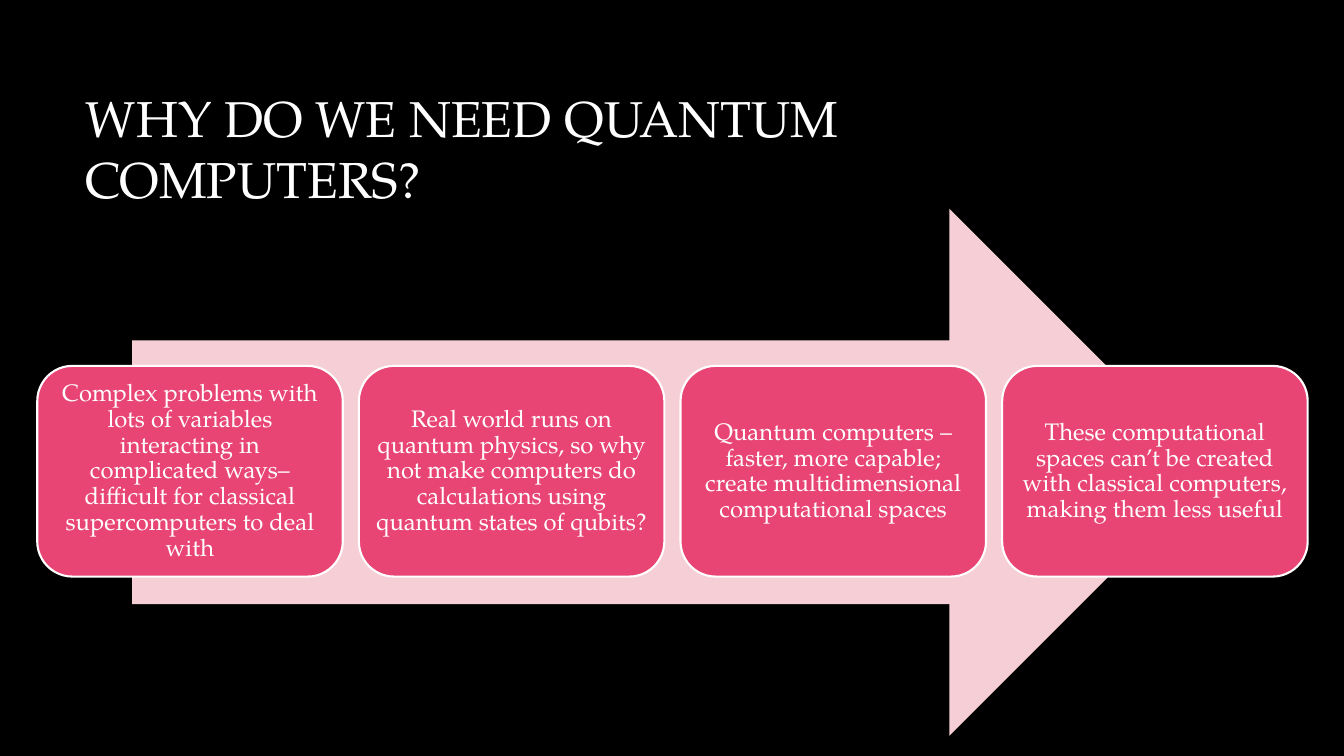
from dataclasses import dataclass

from pptx import Presentation
from pptx.dml.color import RGBColor
from pptx.enum.shapes import MSO_SHAPE
from pptx.enum.text import MSO_ANCHOR, MSO_AUTO_SIZE, PP_ALIGN
from pptx.util import Inches, Pt

RIGHT_ARROW = MSO_SHAPE.RIGHT_ARROW
ROUNDED_RECTANGLE = MSO_SHAPE.ROUNDED_RECTANGLE
MIDDLE = MSO_ANCHOR.MIDDLE
NO_AUTOFIT = MSO_AUTO_SIZE.NONE
LEFT, CENTER = PP_ALIGN.LEFT, PP_ALIGN.CENTER


@dataclass(frozen=True)
class Theme:
    font: str = "TeX Gyre Pagella"
    background: RGBColor = RGBColor(0x00, 0x00, 0x00)
    text: RGBColor = RGBColor(0xFF, 0xFF, 0xFF)
    arrow: RGBColor = RGBColor(0xF6, 0xCF, 0xD6)
    card: RGBColor = RGBColor(0xE8, 0x45, 0x74)
    title_size: Pt = Pt(36)
    card_size: Pt = Pt(17)


theme = Theme()


def write_text(frame, text, size, alignment):
    frame.word_wrap = True
    frame.auto_size = NO_AUTOFIT
    frame.vertical_anchor = MIDDLE
    para = frame.paragraphs[0]
    para.alignment = alignment
    span = para.add_run()
    span.text = text
    span.font.name = theme.font
    span.font.size = size
    span.font.color.rgb = theme.text
    return para


deck = Presentation()
deck.slide_width = Inches(13.33)
deck.slide_height = Inches(7.5)
page = deck.slides.add_slide(deck.slide_layouts[5])
page.background.fill.solid()
page.background.fill.fore_color.rgb = theme.background

title = page.shapes.title
title.left, title.top = Inches(0.75), Inches(0.67)
title.width, title.height = Inches(11.08), Inches(1.59)
write_text(title.text_frame, "WHY DO WE NEED QUANTUM COMPUTERS?", theme.title_size, LEFT)

arrow = page.shapes.add_shape(
    RIGHT_ARROW, Inches(1.31), Inches(2.07), Inches(10.72), Inches(5.23)
)
arrow.shadow.inherit = False
arrow.fill.solid()
arrow.fill.fore_color.rgb = theme.arrow
arrow.line.fill.background()

reasons = [
    "Complex problems with lots of variables interacting in complicated ways– "
    "difficult for classical supercomputers to deal with",
    "Real world runs on quantum physics, so why not make computers do "
    "calculations using quantum states of qubits?",
    "Quantum computers – faster, more capable; create multidimensional "
    "computational spaces",
    "These computational spaces can’t be created with classical computers, "
    "making them less useful",
]
first_left, card_pitch = 0.37, 3.19

for index, reason in enumerate(reasons):
    card = page.shapes.add_shape(
        ROUNDED_RECTANGLE,
        Inches(first_left + index * card_pitch), Inches(3.63), Inches(3.03), Inches(2.09),
    )
    card.shadow.inherit = False
    card.fill.solid()
    card.fill.fore_color.rgb = theme.card
    card.line.color.rgb = theme.text
    card.line.width = Pt(1.5)
    frame = card.text_frame
    frame.margin_left = frame.margin_right = Inches(0.07)
    frame.margin_top = frame.margin_bottom = Inches(0.07)
    para = write_text(frame, reason, theme.card_size, CENTER)
    para.line_spacing = 0.9

deck.save("out.pptx")
